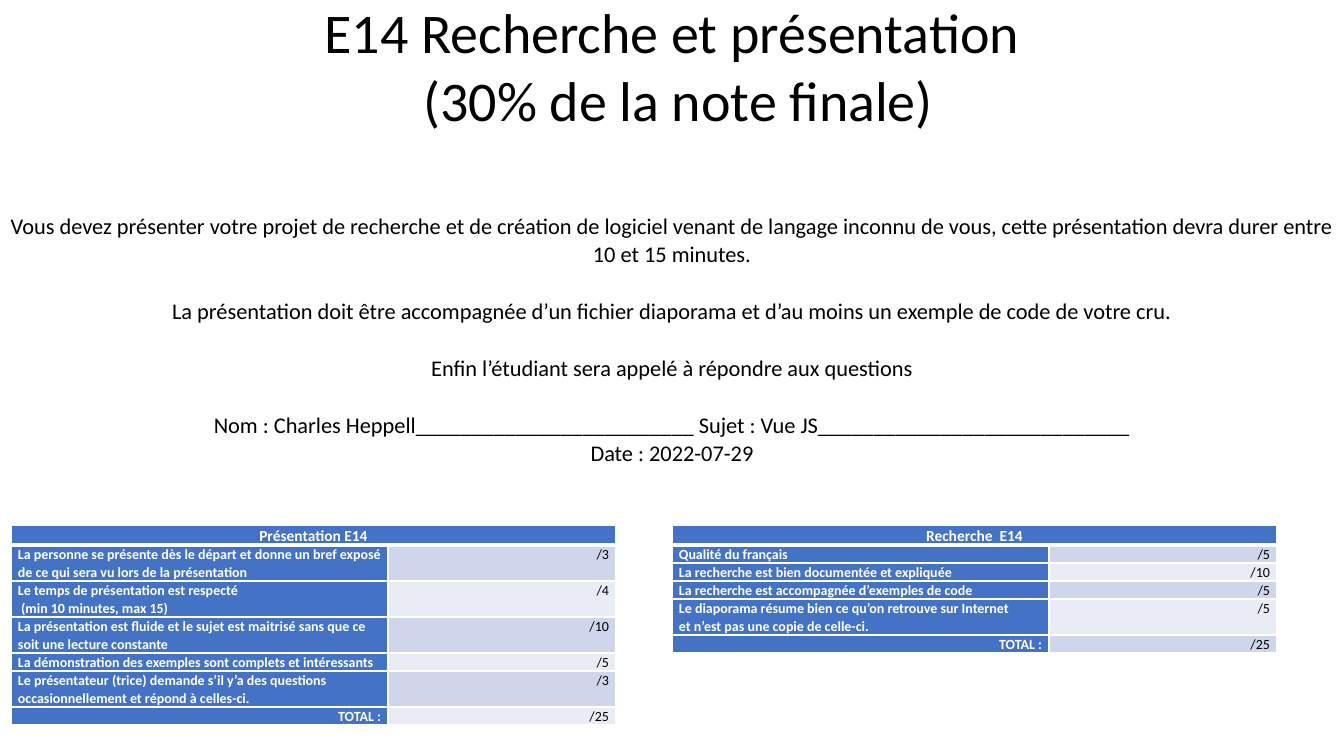
import lxml.etree
import pptx
import pptx.dml.color
import pptx.enum.text
import pptx.oxml.ns
import pptx.util

PX = 914400 / 100.8
BLACK = pptx.dml.color.RGBColor(0x00, 0x00, 0x00)
WHITE = pptx.dml.color.RGBColor(0xFF, 0xFF, 0xFF)
BLUE = pptx.dml.color.RGBColor(0x44, 0x72, 0xC4)
BAND_DARK = pptx.dml.color.RGBColor(0xCF, 0xD5, 0xEA)
BAND_LIGHT = pptx.dml.color.RGBColor(0xE9, 0xEB, 0xF5)
LEFT = pptx.enum.text.PP_ALIGN.LEFT
CENTER = pptx.enum.text.PP_ALIGN.CENTER
RIGHT = pptx.enum.text.PP_ALIGN.RIGHT

TITLE = "E14 Recherche et présentation\n (30% de la note finale)"
INSTRUCTIONS = [
    "Vous devez présenter votre projet de recherche et de création de logiciel venant "
    "de langage inconnu de vous, cette présentation devra durer entre 10 et 15 minutes.",
    "La présentation doit être accompagnée d’un fichier diaporama et d’au moins "
    "un exemple de code de votre cru.",
    "Enfin l’étudiant sera appelé à répondre aux questions",
    "Nom : Charles Heppell" + "_" * 25 + " Sujet : Vue JS" + "_" * 28
    + "\nDate : 2022-07-29",
]
TOTAL = ("TOTAL :", "/25", 18)
PRESENTATION = [
    ("La personne se présente dès le départ et donne un bref exposé "
     "de ce qui sera vu lors de la présentation", "/3", 36),
    ("Le temps de présentation est respecté\n (min 10 minutes, max 15)", "/4", 36),
    ("La présentation est fluide et le sujet est maitrisé sans que ce "
     "soit une lecture constante", "/10", 36),
    ("La démonstration des exemples sont complets et intéressants", "/5", 18),
    ("Le présentateur (trice) demande s’il y’a des questions "
     "occasionnellement et répond à celles-ci.", "/3", 36),
    TOTAL,
]
RESEARCH = [
    ("Qualité du français", "/5", 18),
    ("La recherche est bien documentée et expliquée", "/10", 18),
    ("La recherche est accompagnée d’exemples de code", "/5", 18),
    ("Le diaporama résume bien ce qu’on retrouve sur Internet\n"
     "et n’est pas une copie de celle-ci.", "/5", 36),
    TOTAL,
]


def px(n):
    return pptx.util.Emu(round(n * PX))


def write(p, text, size, color=BLACK, bold=False, align=LEFT,
          line=1.07, before=0, after=8):
    p.text = text
    p.alignment = align
    p.line_spacing = line
    p.space_before = pptx.util.Pt(before)
    p.space_after = pptx.util.Pt(after)
    for r in p.runs:
        r.font.name = "Calibri"
        r.font.size = pptx.util.Pt(size)
        r.font.bold = bold
        r.font.color.rgb = color
    for br in p._p.findall(pptx.oxml.ns.qn("a:br")):
        lxml.etree.SubElement(br, pptx.oxml.ns.qn("a:rPr"), sz=str(size * 100))


def add_heading(s):
    tf = s.shapes.add_textbox(0, px(-7), px(1344), px(482)).text_frame
    tf.word_wrap = True
    write(tf.paragraphs[0], TITLE, 40, align=CENTER, line=1.0, after=0)
    for i, text in enumerate(INSTRUCTIONS):
        write(tf.add_paragraph(), text, 16, align=CENTER,
              before=12 if i else 55.5)


def add_borders(cell, top, bottom):
    tc_pr = cell._tc.get_or_add_tcPr()
    sides = [("a:lnL", 1), ("a:lnR", 1), ("a:lnT", top), ("a:lnB", bottom)]
    for i, (side, width) in enumerate(sides):
        ln = lxml.etree.Element(pptx.oxml.ns.qn(side), w=str(width * 12700))
        fill = lxml.etree.SubElement(ln, pptx.oxml.ns.qn("a:solidFill"))
        lxml.etree.SubElement(fill, pptx.oxml.ns.qn("a:srgbClr"), val=str(WHITE))
        tc_pr.insert(i, ln)


def fill_cell(cell, text, fill, size=10, top=1, bottom=1, **fmt):
    cell.margin_left = cell.margin_right = px(7)
    cell.margin_top = cell.margin_bottom = 0
    cell.fill.solid()
    cell.fill.fore_color.rgb = fill
    write(cell.text_frame.paragraphs[0], text, size, **fmt)
    add_borders(cell, top, bottom)


def add_grading_table(s, x, title, criteria):
    heights = [20] + [h for _, _, h in criteria]
    table = s.shapes.add_table(len(heights), 2, px(x), px(525),
                               px(605), px(sum(heights))).table
    for col, width in zip(table.columns, (377, 228)):
        col.width = px(width)
    for row, height in zip(table.rows, heights):
        row.height = px(height)
    table.cell(0, 0).merge(table.cell(0, 1))
    for col, text in enumerate((title, "")):
        fill_cell(table.cell(0, col), text, BLUE, size=11, bottom=3,
                  color=WHITE, bold=True, align=CENTER)
    for i, (label, mark, _) in enumerate(criteria, 1):
        top = 3 if i == 1 else 1
        fill_cell(table.cell(i, 0), label, BLUE, top=top, color=WHITE, bold=True,
                  align=RIGHT if i == len(criteria) else LEFT)
        fill_cell(table.cell(i, 1), mark, BAND_DARK if i % 2 else BAND_LIGHT,
                  top=top, align=RIGHT)


def main():
    prs = pptx.Presentation()
    prs.slide_width = px(1344)
    prs.slide_height = px(756)
    s = prs.slides.add_slide(prs.slide_layouts[6])
    add_heading(s)
    add_grading_table(s, 672, "Recherche  E14", RESEARCH)
    add_grading_table(s, 11, "Présentation E14", PRESENTATION)
    prs.save("out.pptx")


if __name__ == "__main__":
    main()
